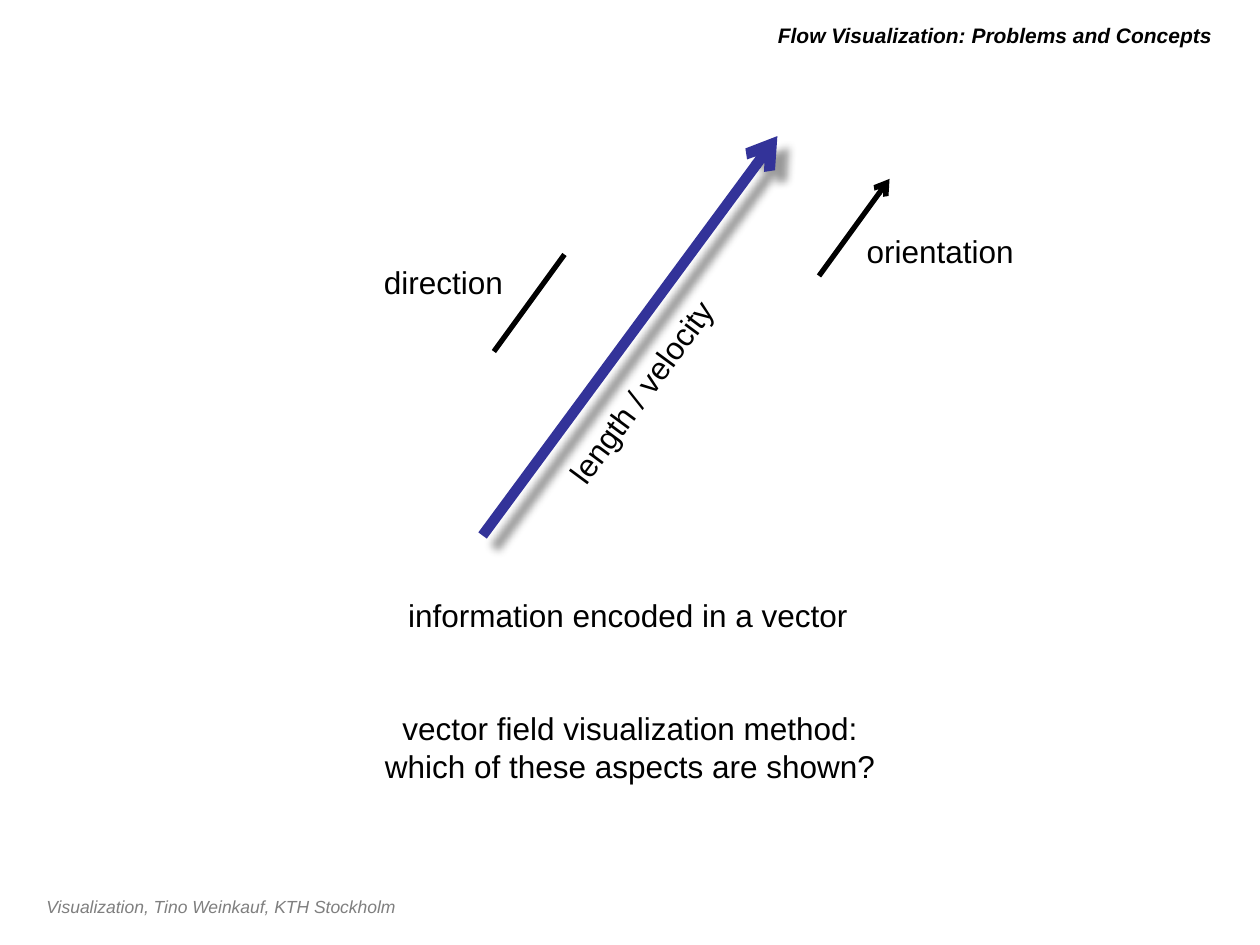
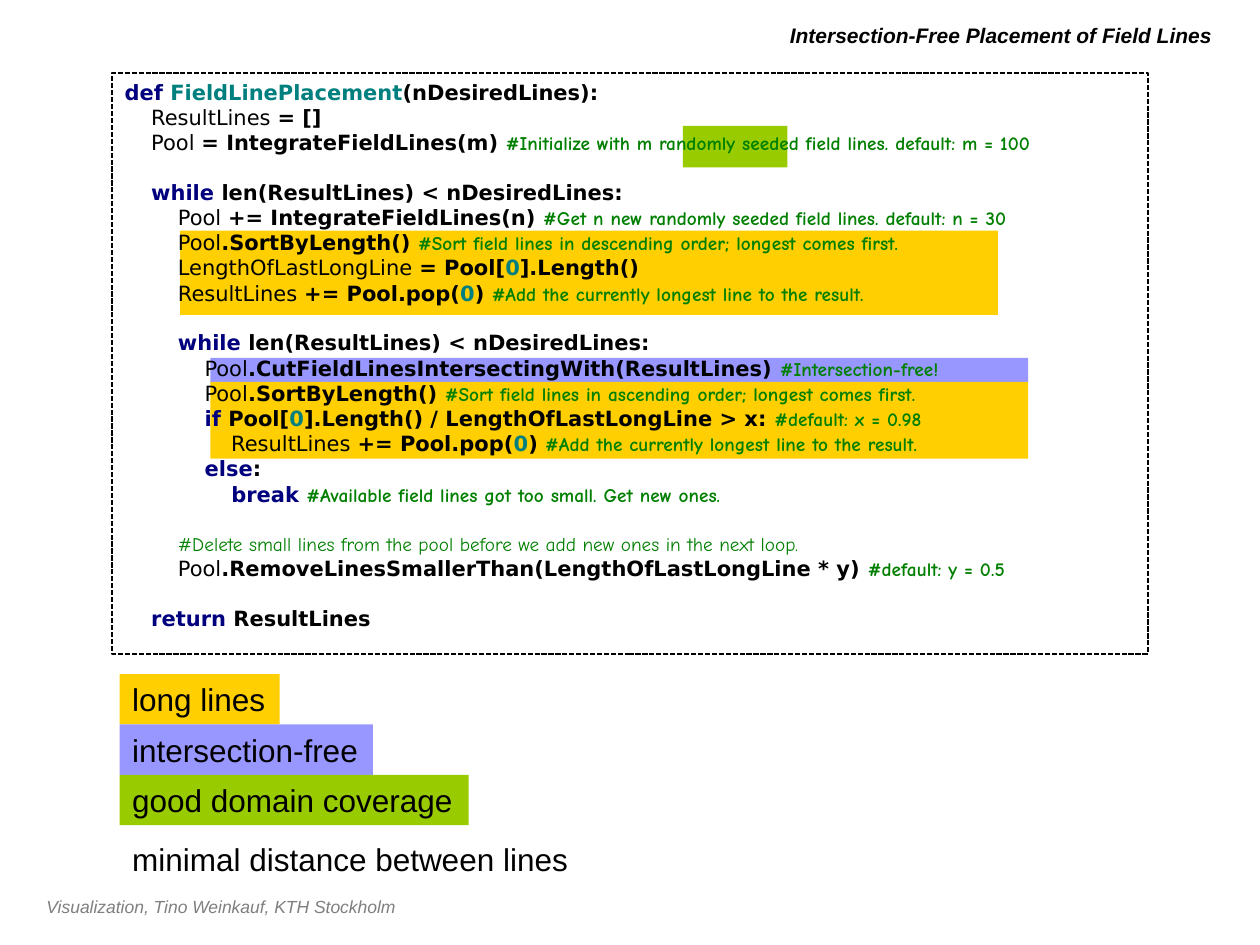
from lxml import etree
from pptx import Presentation
from pptx.dml.color import RGBColor
from pptx.enum.dml import MSO_LINE
from pptx.enum.shapes import MSO_CONNECTOR, MSO_SHAPE
from pptx.enum.text import MSO_ANCHOR, PP_ALIGN
from pptx.oxml.ns import qn
from pptx.util import Inches, Pt

LEFT, CENTER, RIGHT = PP_ALIGN.LEFT, PP_ALIGN.CENTER, PP_ALIGN.RIGHT
TOP = MSO_ANCHOR.TOP
RECT = MSO_SHAPE.RECTANGLE
STRAIGHT = MSO_CONNECTOR.STRAIGHT
SYS_DASH = MSO_LINE.SQUARE_DOT

BLACK = RGBColor(0x00, 0x00, 0x00)
GRAY = RGBColor(0x7F, 0x7F, 0x7F)
INDIGO = RGBColor(0x33, 0x33, 0x99)
NAVY = RGBColor(0x00, 0x00, 0x7F)
TEAL = RGBColor(0x00, 0x7F, 0x7F)
COMMENT = RGBColor(0x00, 0x7F, 0x00)
LIME = RGBColor(0x99, 0xCC, 0x00)
LILAC = RGBColor(0x97, 0x97, 0xFF)
YELLOW = RGBColor(0xFF, 0xCF, 0x01)


def add_rect(s, box, fill=None):
    sp = s.shapes.add_shape(RECT, *map(Inches, box))
    sp.shadow.inherit = False
    sp.line.fill.background()
    if fill is None:
        sp.fill.background()
    else:
        sp.fill.solid()
        sp.fill.fore_color.rgb = fill
    return sp


def add_text(s, box, text, size=18, color=BLACK, bold=False, italic=False,
             align=LEFT, wrap=False, fill=None, rotation=0):
    if fill is None:
        sp = s.shapes.add_textbox(*map(Inches, box))
    else:
        sp = add_rect(s, box, fill)
    sp.rotation = rotation
    tf = sp.text_frame
    tf.word_wrap = wrap
    tf.vertical_anchor = TOP
    for i, line in enumerate(text.split("\n")):
        p = tf.add_paragraph() if i else tf.paragraphs[0]
        p.alignment = align
        r = p.add_run()
        r.text = line
        r.font.name = "Arial"
        r.font.size = Pt(size)
        r.font.bold = bold
        r.font.italic = italic
        r.font.color.rgb = color


prs = Presentation()
prs.slide_width = Inches(10)
prs.slide_height = Inches(7.5)

slides = []
for title in ("Flow Visualization: Problems and Concepts",
              "Intersection-Free Placement of Field Lines"):
    s = prs.slides.add_slide(prs.slide_layouts[6])
    add_text(s, (0.27, 7.06, 7.39, 0.27), "Visualization, Tino Weinkauf, KTH Stockholm",
             size=10, color=GRAY, italic=True, wrap=True)
    add_text(s, (1.58, 0.13, 8.14, 0.31), title, size=12, bold=True, italic=True,
             align=RIGHT, wrap=True)
    slides.append(s)
vector_slide, code_slide = slides

s = vector_slide
for ends, color, width, arrow, shadow in (
    ((3.83, 4.25, 6.17, 1.08), INDIGO, 6, True, True),
    ((6.5, 2.19, 7.06, 1.42), BLACK, 3, True, False),
    ((3.92, 2.79, 4.48, 2.02), BLACK, 3, False, False),
):
    cn = s.shapes.add_connector(STRAIGHT, *map(Inches, ends))
    cn.line.color.rgb = color
    cn.line.width = Pt(width)
    if arrow:
        etree.SubElement(cn.line._get_or_add_ln(), qn("a:tailEnd"), type="arrow")
    effects = etree.SubElement(cn._element.spPr, qn("a:effectLst"))
    if shadow:
        outer = etree.SubElement(effects, qn("a:outerShdw"), blurRad=str(Pt(5)),
                                 dist=str(Pt(9.5)), dir="2700000", algn="tl", rotWithShape="0")
        rgb = etree.SubElement(outer, qn("a:srgbClr"), val="000000")
        etree.SubElement(rgb, qn("a:alpha"), val="40000")

add_text(s, (3.14, 4.68, 3.72, 0.4), "information encoded in a vector")
add_text(s, (6.78, 1.79, 1.38, 0.4), "orientation")
add_text(s, (2.93, 2.04, 1.16, 0.4), "direction", align=RIGHT)
add_text(s, (4.12, 2.9, 1.94, 0.4), "length / velocity", rotation=306.4)
add_text(s, (1.79, 5.58, 6.42, 0.71),
         "vector field visualization method:\nwhich of these aspects are shown?",
         align=CENTER, wrap=True)

s = code_slide
for box, fill in (
    ((5.42, 1, 0.83, 0.33), LIME),
    ((1.67, 2.84, 6.49, 0.2), LILAC),
    ((1.67, 3.03, 6.49, 0.61), YELLOW),
    ((1.43, 1.83, 6.49, 0.67), YELLOW),
):
    add_rect(s, box, fill)

STYLES = {
    "plain": ("DejaVu Sans", 12, BLACK, False),
    "bold": ("DejaVu Sans", 12, BLACK, True),
    "key": ("DejaVu Sans", 12, NAVY, True),
    "name": ("DejaVu Sans", 12, TEAL, True),
    "note": ("Comic Neue", 11, COMMENT, True),
    "light": ("Comic Neue", 11, COMMENT, False),
}
WHILE = [("key", "while "), ("bold", "len(ResultLines) < nDesiredLines:")]
POP = [("plain", "ResultLines "), ("bold", "+= Pool.pop("), ("name", "0"), ("bold", ") "),
       ("note", "#Add the currently longest line to the result.")]
SORT = [("plain", "Pool"), ("bold", ".SortByLength() ")]
code = [
    (0, False, [("key", "def "), ("name", "FieldLinePlacement"), ("bold", "(nDesiredLines):")]),
    (1, False, [("plain", "ResultLines "), ("bold", "= []")]),
    (1, False, [("plain", "Pool "), ("bold", "= IntegrateFieldLines(m) "),
                ("note", "#Initialize with m randomly seeded field lines. default: m = 100")]),
    (1, True, WHILE),
    (2, False, [("plain", "Pool "), ("bold", "+= IntegrateFieldLines(n) "),
                ("note", "#Get n new randomly seeded field lines. default: n = 30")]),
    (2, False, SORT + [("note", "#Sort field lines in descending order; longest comes first.")]),
    (2, False, [("plain", "LengthOfLastLongLine "), ("bold", "= Pool["), ("name", "0"),
                ("bold", "].Length()")]),
    (2, False, POP),
    (2, True, WHILE),
    (3, False, [("plain", "Pool"), ("bold", ".CutFieldLinesIntersectingWith(ResultLines) "),
                ("note", "#Intersection-free!")]),
    (3, False, SORT + [("note", "#Sort field lines in ascending order; longest comes first.")]),
    (3, False, [("key", "if "), ("bold", "Pool["), ("name", "0"),
                ("bold", "].Length() / LengthOfLastLongLine > x: "),
                ("note", "#default: x = 0.98")]),
    (4, False, POP),
    (3, False, [("key", "else"), ("bold", ":")]),
    (4, False, [("key", "break "),
                ("note", "#Available field lines got too small. Get new ones.")]),
    (2, True, [("light", "#Delete small lines from the pool before we add new ones in the next loop.")]),
    (2, False, [("plain", "Pool"), ("bold", ".RemoveLinesSmallerThan(LengthOfLastLongLine * y) "),
                ("note", "#default: y = 0.5")]),
    (1, True, [("key", "return "), ("bold", "ResultLines")]),
]
frame = add_rect(s, (0.89, 0.58, 8.22, 4.61))
frame.line.color.rgb = BLACK
frame.line.width = Pt(1)
frame.line.dash_style = SYS_DASH
tf = frame.text_frame
tf.word_wrap = True
tf.vertical_anchor = TOP
for i, (level, gap, parts) in enumerate(code):
    p = tf.add_paragraph() if i else tf.paragraphs[0]
    p.alignment = LEFT
    if gap:
        p.space_before = Pt(14)
    indent = [("plain", "    " * level)] if level else []
    for style, text in indent + parts:
        r = p.add_run()
        r.text = text
        name, size, color, bold = STYLES[style]
        r.font.name = name
        r.font.size = Pt(size)
        r.font.color.rgb = color
        r.font.bold = bold

for i, (width, text, fill) in enumerate((
    (1.27, "long lines", YELLOW),
    (2.01, "intersection-free", LILAC),
    (2.77, "good domain coverage", LIME),
)):
    add_text(s, (0.95, 5.35 + 0.4 * i, width, 0.4), text, fill=fill)
add_text(s, (0.95, 6.62, 3.69, 0.4), "minimal distance between lines")

prs.save("out.pptx")
